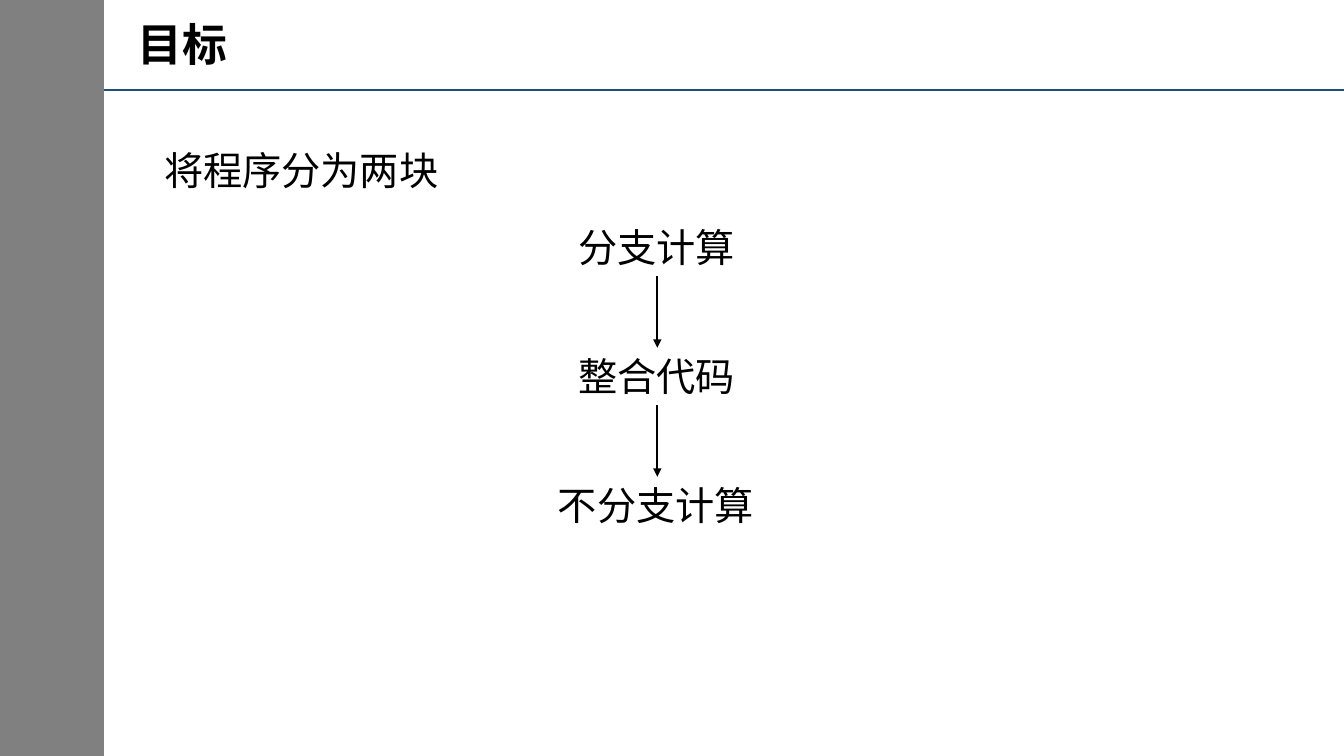
from itertools import pairwise

from lxml import etree
from pptx import Presentation
from pptx.dml.color import RGBColor
from pptx.enum import shapes, text
from pptx.oxml import ns
from pptx.util import Inches, Pt

GRAY = RGBColor(0x80, 0x80, 0x80)
NAVY = RGBColor(0x1F, 0x4E, 0x79)
BLACK = RGBColor(0, 0, 0)
FONT = "Noto Sans CJK SC"

SIDEBAR_WIDTH = 1.03
STEP_CENTER = 6.52
STEP_TOP = 2.17
STEP_PITCH = 1.28
STEPS = [("分支计算", 1.77), ("整合代码", 1.77), ("不分支计算", 2.17)]


def add_sidebar(slide):
    sidebar = slide.shapes.add_shape(
        shapes.MSO_SHAPE.RECTANGLE, 0, 0, Inches(SIDEBAR_WIDTH), Inches(7.5))
    sidebar.shadow.inherit = False
    sidebar.fill.solid()
    sidebar.fill.fore_color.rgb = GRAY
    sidebar.line.fill.background()


def add_label(slide, wording, left, top, width, height=0.57, size=28, bold=False):
    label = slide.shapes.add_textbox(
        Inches(left), Inches(top), Inches(width), Inches(height))
    frame = label.text_frame
    frame.word_wrap = False
    frame.auto_size = text.MSO_AUTO_SIZE.SHAPE_TO_FIT_TEXT
    paragraph = frame.paragraphs[0]
    paragraph.text = wording
    font = paragraph.font
    font.size = Pt(size)
    font.bold = bold
    font.color.rgb = BLACK
    font.name = FONT
    latin = paragraph._p.find(".//" + ns.qn("a:latin"))
    east_asian = etree.Element(ns.qn("a:ea"), typeface=FONT)
    latin.addnext(east_asian)
    return label


def add_line(slide, start, end, color):
    line = slide.shapes.add_connector(
        shapes.MSO_CONNECTOR.STRAIGHT, *(Inches(value) for value in start + end))
    line.line.color.rgb = color
    line.line.width = Pt(1.5)
    etree.SubElement(line._element.spPr, ns.qn("a:effectLst"))
    return line


def add_arrow(slide, upper, lower):
    arrow = add_line(slide, (0, 0), (0, 0), BLACK)
    arrow.begin_connect(upper, 2)
    arrow.end_connect(lower, 0)
    outline = arrow._element.spPr.find(ns.qn("a:ln"))
    etree.SubElement(outline, ns.qn("a:tailEnd"), type="triangle")


def add_flow(slide):
    steps = [
        add_label(slide, wording, STEP_CENTER - width / 2,
                  STEP_TOP + row * STEP_PITCH, width)
        for row, (wording, width) in enumerate(STEPS)
    ]
    for upper, lower in pairwise(steps):
        add_arrow(slide, upper, lower)


def main():
    deck = Presentation()
    deck.slide_width = Inches(13.33)
    deck.slide_height = Inches(7.5)
    slide = deck.slides.add_slide(deck.slide_layouts[6])

    add_sidebar(slide)
    add_line(slide, (SIDEBAR_WIDTH, 0.89), (13.33, 0.89), NAVY)
    add_label(slide, "目标", 1.27, 0.12, 1.1, 0.64, size=32, bold=True)
    add_label(slide, "将程序分为两块", 1.53, 1.4, 2.95)
    add_flow(slide)

    deck.save("out.pptx")


if __name__ == "__main__":
    main()
